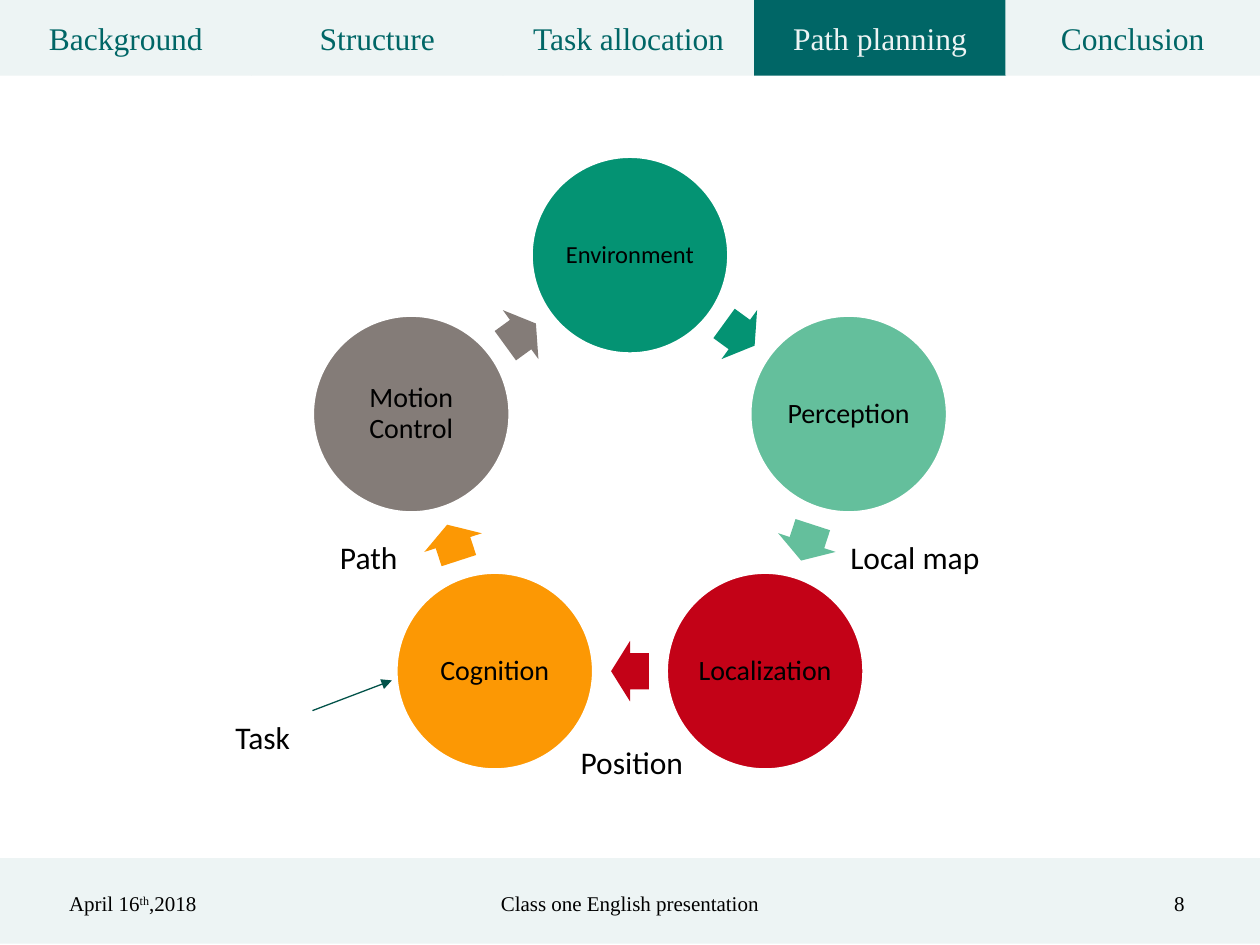
from dataclasses import dataclass
from math import cos, radians, sin

from lxml.etree import SubElement
from pptx import Presentation
from pptx.dml.color import RGBColor
from pptx.enum.shapes import MSO_CONNECTOR as Line, MSO_SHAPE as Shape
from pptx.enum.text import MSO_ANCHOR as Anchor, MSO_AUTO_SIZE as AutoSize, PP_ALIGN as Align
from pptx.oxml.ns import qn
from pptx.util import Inches, Pt

# The slide is a grid of 100 columns by 75 rows
COLUMNS, ROWS = 100, 75
COLORS = {
    "teal": "006666", "pale": "EDF4F4", "black": "000000", "white": "FFFFFF",
    "green": "049373", "mint": "64BF9C", "red": "C30217",
    "orange": "FC9804", "gray": "847C78", "pointer": "025249",
}
SERIF, SANS = "Times New Roman", "Calibri"


@dataclass(frozen=True)
class Area:
    left: float
    top: float
    width: float
    height: float

    def place(self) -> tuple:
        return tuple(grid(n) for n in (self.left, self.top, self.width, self.height))


@dataclass(frozen=True)
class Stage:
    name: str
    color: str
    size: int = 16


@dataclass(frozen=True)
class Label:
    text: str
    area: Area
    size: int = 18
    font: str = SANS
    align: Align = Align.LEFT
    anchor: Anchor = Anchor.TOP


TABS = ["Background", "Structure", "Task allocation", "Path planning", "Conclusion"]
ACTIVE_TAB = "Path planning"
TAB_PITCH, TAB_WIDTH, TAB_HEIGHT = 19.95, 20, 6

STAGES = [
    Stage("Environment", "green", 14),
    Stage("Perception", "mint"),
    Stage("Localization", "red"),
    Stage("Cognition", "orange"),
    Stage("Motion Control", "gray"),
]
CENTER_X, CENTER_Y, RADIUS = 50, 38.5, 18.25
DIAMETER, ARROW_LENGTH, ARROW_HEIGHT = 15.7, 3, 4.8

NOTES = [
    Label("Path", Area(26, 42.2, 12.6, 4)),
    Label("Task", Area(17.7, 56.5, 7.1, 4)),
    Label("Position", Area(45.1, 58.5, 12.6, 4)),
    Label("Local map", Area(66.5, 42.2, 12.6, 4)),
]
FOOTERS = [
    Label("8", Area(87.8, 69.7, 7.2, 4), 12, SERIF, Align.RIGHT, Anchor.MIDDLE),
    Label("Class one English presentation", Area(26, 69.7, 48, 4), 12, SERIF,
          Align.CENTER, Anchor.MIDDLE),
]
DATE = Label("April 16", Area(4.5, 69.7, 17.9, 4), 12, SERIF, anchor=Anchor.MIDDLE)


def grid(cells: float) -> int:
    return Inches(cells / 10)


def rgb(name: str) -> RGBColor:
    return RGBColor.from_string(COLORS[name])


def style(para, size: int, font: str, color: str, align: Align) -> None:
    para.alignment = align
    para.font.size, para.font.name = Pt(size), font
    para.font.color.rgb = rgb(color)


def add_block(page, kind: Shape, area: Area, color: str):
    block = page.shapes.add_shape(kind, *area.place())
    block.shadow.inherit = False
    block.fill.solid()
    block.fill.fore_color.rgb = rgb(color)
    block.line.fill.background()
    return block


def add_label(page, label: Label):
    box = page.shapes.add_textbox(*label.area.place())
    frame = box.text_frame
    frame.word_wrap = True
    frame.vertical_anchor = label.anchor
    if label.anchor == Anchor.TOP:
        frame.auto_size = AutoSize.SHAPE_TO_FIT_TEXT
    para = frame.paragraphs[0]
    para.add_run().text = label.text
    style(para, label.size, label.font, "black", label.align)
    return para


def add_tabs(page) -> None:
    for index, name in enumerate(TABS):
        left = index * TAB_PITCH
        width = COLUMNS - left if index == len(TABS) - 1 else TAB_WIDTH
        back, ink = ("teal", "pale") if name == ACTIVE_TAB else ("pale", "teal")
        tab = add_block(page, Shape.RECTANGLE, Area(left, 0, width, TAB_HEIGHT), back)
        tab.text_frame.text = name
        style(tab.text_frame.paragraphs[0], 18, SERIF, ink, Align.CENTER)


def ring_point(step: float, radius: float) -> tuple[float, float]:
    angle = radians(step * 360 / len(STAGES))
    return CENTER_X + radius * sin(angle), CENTER_Y - radius * cos(angle)


def centered(point: tuple[float, float], width: float, height: float) -> Area:
    return Area(point[0] - width / 2, point[1] - height / 2, width, height)


def add_stage(page, index: int, stage: Stage) -> None:
    disc = add_block(page, Shape.OVAL,
                     centered(ring_point(index, RADIUS), DIAMETER, DIAMETER), stage.color)
    disc.line.color.rgb = rgb("white")
    disc.line.width = Pt(2)
    frame = disc.text_frame
    frame.word_wrap = True
    frame.vertical_anchor = Anchor.MIDDLE
    frame.margin_left = frame.margin_right = frame.margin_top = frame.margin_bottom = grid(0.2)
    frame.text = stage.name
    para = frame.paragraphs[0]
    para.line_spacing = 0.9
    style(para, stage.size, SANS, "black", Align.CENTER)

    # Arrow halfway along the chord to the next stage
    turn = 360 / len(STAGES)
    middle = ring_point(index + 0.5, RADIUS * cos(radians(turn / 2)))
    arrow = add_block(page, Shape.RIGHT_ARROW,
                      centered(middle, ARROW_LENGTH, ARROW_HEIGHT), stage.color)
    arrow.adjustments[0], arrow.adjustments[1] = 0.6, 0.5
    arrow.rotation = turn * (index + 0.5)


def add_pointer(page, start: tuple[float, float], end: tuple[float, float]) -> None:
    pointer = page.shapes.add_connector(Line.STRAIGHT, *map(grid, start + end))
    pointer.line.color.rgb = rgb("pointer")
    pointer.line.width = Pt(0.75)
    SubElement(pointer.line._get_or_add_ln(), qn("a:tailEnd"), type="triangle")
    SubElement(pointer._element.spPr, qn("a:effectLst"))


def add_footer(page) -> None:
    add_block(page, Shape.RECTANGLE, Area(0, 68.1, COLUMNS, 6.8), "pale")
    for label in FOOTERS:
        add_label(page, label)
    para = add_label(page, DATE)
    ordinal = para.add_run()
    ordinal.text = "th"
    ordinal._r.get_or_add_rPr().set("baseline", "30000")
    para.add_run().text = ",2018"


def main() -> None:
    deck = Presentation()
    deck.slide_width, deck.slide_height = grid(COLUMNS), grid(ROWS)
    page = deck.slides.add_slide(deck.slide_layouts[6])

    # Navigation and footer bands
    add_tabs(page)
    add_footer(page)

    # Control cycle
    for index, stage in enumerate(STAGES):
        add_stage(page, index, stage)

    # Data passed between the stages
    for note in NOTES:
        add_label(page, note)
    add_pointer(page, (24.8, 56.4), (31.1, 54))

    deck.save("out.pptx")


if __name__ == "__main__":
    main()
